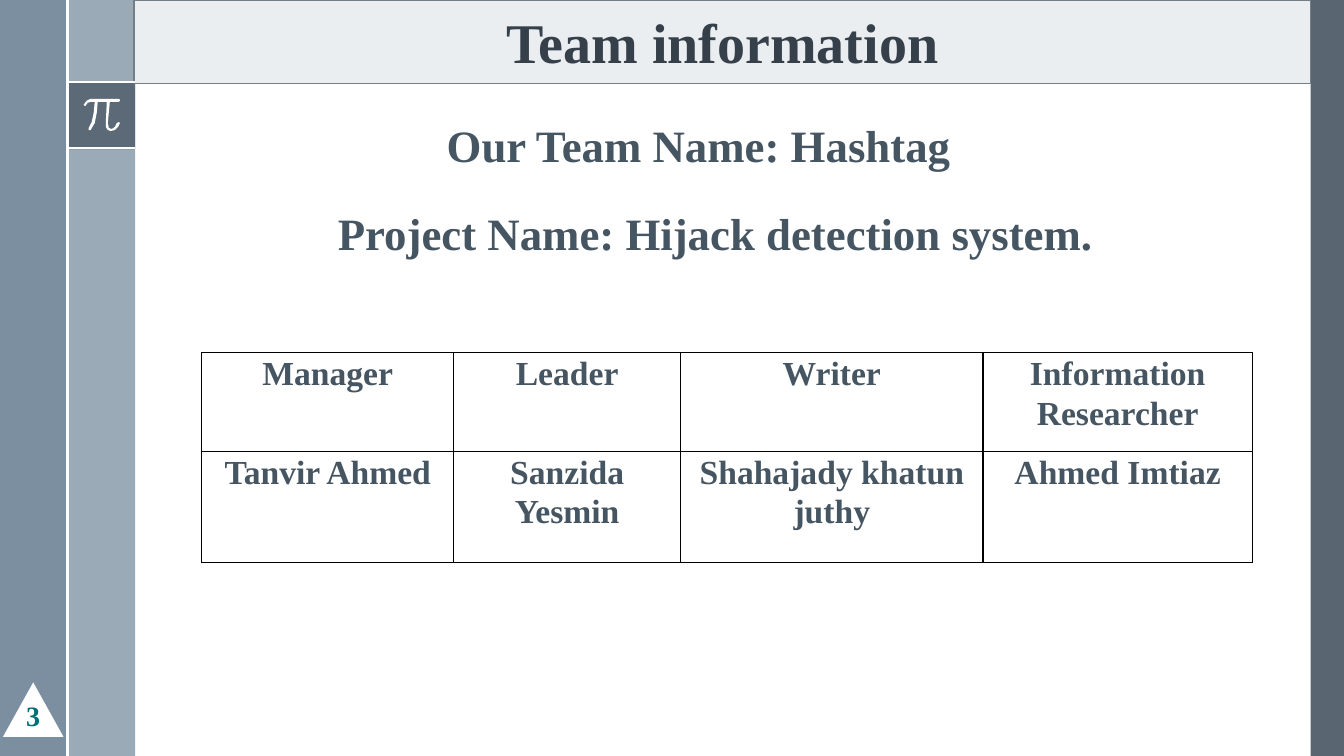
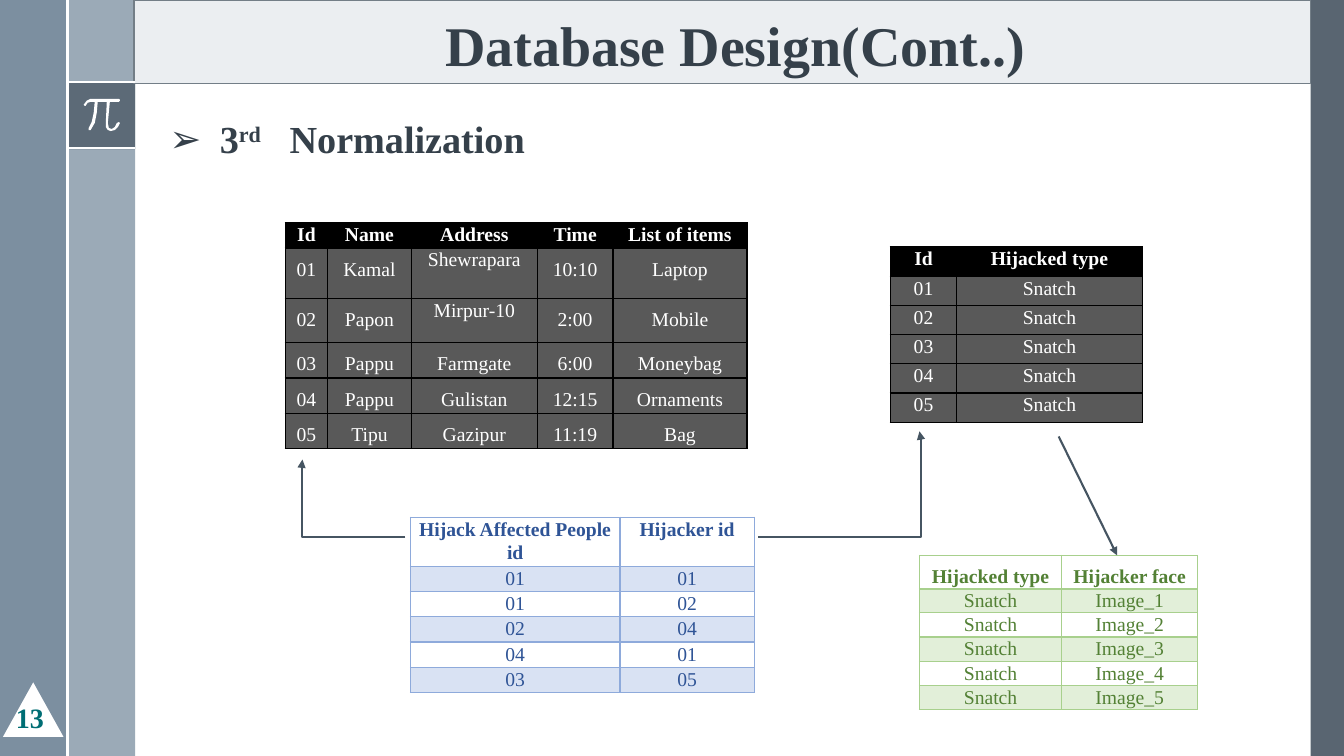
from lxml.etree import SubElement
from pptx import Presentation
from pptx.dml.color import RGBColor
from pptx.enum.shapes import MSO_CONNECTOR, MSO_SHAPE
from pptx.enum.text import MSO_ANCHOR, MSO_AUTO_SIZE, PP_ALIGN
from pptx.oxml.ns import qn
from pptx.util import Inches, Pt

FONT = "Times New Roman"
HUES = {name: RGBColor.from_string(code) for name, code in {
    "white": "FFFFFF", "black": "000000", "slate": "475562", "steel": "6A8093",
    "mist": "9BAAB7", "pale": "EBEEF1", "edge": "737E87", "title": "35404A",
    "text": "465562", "teal": "006E74", "gray": "595959",
    "navy": "2F5496", "blue": "8EAADB", "sky": "D9E2F3",
    "green": "538135", "leaf": "A8D08D", "mint": "E2EFD9",
}.items()}


def dress(par, hue, size, bold=True, **form):
    """Format a paragraph and all of its runs."""
    for key, val in form.items():
        setattr(par, key, val)
    for run in par.runs:
        for key, val in {"name": FONT, "size": Pt(size), "bold": bold}.items():
            setattr(run.font, key, val)
        run.font.color.rgb = HUES[hue]


def grid(slide, spot, cols, rows, data, look):
    """Add a table; look holds its colours, text size and line spacing."""
    frame = slide.shapes.add_table(len(rows), len(cols), *map(Inches, spot),
                                   Inches(sum(cols)), Inches(sum(rows)))
    table = frame.table
    table.first_row = table.horz_banding = False
    for col, wide in zip(table.columns, cols):
        col.width = Inches(wide)
    for r, (row, high) in enumerate(zip(table.rows, rows)):
        row.height = Inches(high)
        for c, cell in enumerate(row.cells):
            for side in ("left", "right", "top", "bottom"):
                gap = 0.07 if side in ("left", "right") else 0
                setattr(cell, "margin_" + side, Inches(gap))
            cell.text = data[r][c]
            space = look["space"][min(r, 1)]
            space = look.get("tight", {}).get((r, c), space)
            dress(cell.text_frame.paragraphs[0], look["text"], look["size"],
                  r == 0 or look.get("bold", False),
                  alignment=PP_ALIGN.CENTER, line_spacing=space)
            # Borders go before the fill
            props = cell._tc.get_or_add_tcPr()
            for side in "LRTB":
                thick = (r, side) in look.get("thick", ())
                line = SubElement(props, qn("a:ln" + side),
                                  w=str(Pt(1.5 if thick else 1)))
                fill = SubElement(line, qn("a:solidFill"))
                SubElement(fill, qn("a:srgbClr"), val=str(HUES[look["line"]]))
            hue = look["head"] if r == 0 else look["fills"][r % 2]
            if hue:
                cell.fill.solid()
                cell.fill.fore_color.rgb = HUES[hue]
            else:
                cell.fill.background()


prs = Presentation()
prs.slide_width, prs.slide_height = Inches(13.33), Inches(7.5)
layout = prs.slide_layouts[1]
for holder in list(layout.placeholders):
    if holder.placeholder_format.idx >= 10:
        holder.element.getparent().remove(holder.element)
team = prs.slides.add_slide(layout)
design = prs.slides.add_slide(layout)

# Shared bands, drawn once and moved to the layout
bands = [
    (MSO_SHAPE.RECTANGLE, (13, 0, 0.33, 7.5), "slate", 90),
    (MSO_SHAPE.RECTANGLE, (0.67, 0, 0.67, 7.5), "mist", 100),
    (MSO_SHAPE.RECTANGLE, (0, 0, 0.67, 7.5), "steel", 88),
    (MSO_SHAPE.RECTANGLE, (0.67, 0.81, 0.67, 0.67), "slate", 75),
    (MSO_SHAPE.RECTANGLE, (1.33, 0, 11.67, 0.83), "pale", 100),
    (MSO_SHAPE.ISOSCELES_TRIANGLE, (0.03, 6.77, 0.6, 0.54), "white", 100),
]
for kind, box, hue, solid in bands:
    band = team.shapes.add_shape(kind, *map(Inches, box))
    band.shadow.inherit = False
    band.fill.solid()
    band.fill.fore_color.rgb = HUES[hue]
    if solid < 100:
        color = band.element.spPr.find(".//" + qn("a:srgbClr"))
        SubElement(color, qn("a:alpha"), val=str(solid * 1000))
    if hue == "pale":
        band.line.color.rgb = HUES["edge"]
        band.line.width = Pt(1)
    else:
        band.line.fill.background()

for ends in [(0.67, 0.81, 1.34, 0.81), (0.67, 1.47, 1.34, 1.47),
             (0.67, 0, 0.67, 7.5)]:
    rule = team.shapes.add_connector(MSO_CONNECTOR.STRAIGHT, *map(Inches, ends))
    rule.line.color.rgb = HUES["white"]
    rule.line.width = Pt(1.5)
    SubElement(rule.element.spPr, qn("a:effectLst"))

# Pi sign, in hundredths of an inch
curve = [(90, 98), (86, 100), (83, 104), (84, 105), (85, 105), (87, 102),
         (90, 101), (94, 101), (93, 112), (91, 121), (88, 127), (88, 129),
         (90, 129), (94, 122), (96, 112), (97, 101), (106, 101), (105, 122),
         (105, 126), (107, 129), (110, 130), (114, 129), (117, 126),
         (119, 122), (118, 121), (116, 122), (114, 126), (111, 128),
         (108, 127), (107, 122), (109, 101), (118, 101), (119, 100), (119, 99)]
pen = team.shapes.build_freeform(118, 98, scale=Inches(0.01))
pen.add_line_segments(curve, close=True)
sign = pen.convert_to_shape()
sign.shadow.inherit = False
sign.fill.solid()
sign.fill.fore_color.rgb = HUES["white"]
sign.line.fill.background()

for shape in list(team.shapes):
    if not shape.is_placeholder:
        layout.element.cSld.spTree.append(shape.element)

# Titles, bodies and page numbers
pages = [
    (team, "Team information", (4.53, -0.03, 5.27, 0.83),
     (3.25, 1.12, 8.5, 1.5), MSO_ANCHOR.TOP, "3", (0.16, 6.83, 0.39, 0.36)),
    (design, "Database Design(Cont..)", (4.08, 0, 6.42, 0.83),
     (1.58, 0.83, 5.67, 0.83), MSO_ANCHOR.BOTTOM, "13", (0.06, 6.85, 0.6, 0.48)),
]
for slide, title, top, main, anchor, page, low in pages:
    head, body = slide.shapes.title, slide.placeholders[1]
    label = slide.shapes.add_textbox(*map(Inches, low))
    for shape, box in ((head, top), (body, main)):
        for key, val in zip(("left", "top", "width", "height"), box):
            setattr(shape, key, Inches(val))
    for shape, hold in ((head, MSO_ANCHOR.BOTTOM), (body, anchor),
                        (label, MSO_ANCHOR.TOP)):
        for key, val in {"word_wrap": True, "vertical_anchor": hold,
                         "auto_size": MSO_AUTO_SIZE.NONE}.items():
            setattr(shape.text_frame, key, val)
    for side in ("left", "right", "top", "bottom"):
        setattr(label.text_frame, "margin_" + side, Inches(0.1))
    head.text_frame.text = title
    dress(head.text_frame.paragraphs[0], "title", 40,
          alignment=PP_ALIGN.CENTER, line_spacing=0.9)
    label.text_frame.text = page
    dress(label.text_frame.paragraphs[0], "teal", 20)

# Team and project names
body = team.placeholders[1].text_frame
body.text = "Our Team Name: Hashtag\nProject Name: Hijack detection system."
for par, dent, gap in zip(body.paragraphs, (1.08, 0), (0, 24.5)):
    dress(par, "text", 32, space_before=Pt(gap), line_spacing=1.0)
    props = par._p.get_or_add_pPr()
    props.set("marL", str(Inches(dent)))
    props.set("indent", "0")
    SubElement(props, qn("a:buNone"))

# Team roles
grid(team, (2, 3.5), (2.5, 2.25, 3, 2.67), (0.98, 1.1),
     [("Manager", "Leader", "Writer", "Information Researcher"),
      ("Tanvir Ahmed", "Sanzida Yesmin", "Shahajady khatun juthy", "Ahmed Imtiaz")],
     {"text": "text", "size": 24, "bold": True, "line": "black",
      "head": None, "fills": (None, None), "space": (1.07, 1.07)})

# Normalization step
par = design.placeholders[1].text_frame.paragraphs[0]
for text, form in (("3", {}), ("rd", {"baseline": "30000"}),
                   (" ", {"spc": "1365"}), ("Normalization", {})):
    run = par.add_run()
    run.text = text
    for key, val in form.items():
        run._r.get_or_add_rPr().set(key, val)
dress(par, "title", 27.3, space_before=Pt(0), line_spacing=0.9)
props = par._p.get_or_add_pPr()
props.set("marL", str(Inches(0.5)))
props.set("indent", str(Inches(-0.5)))
SubElement(props, qn("a:buChar"), char="➢")

# Linked tables
dark = {"text": "white", "size": 14, "line": "black", "head": "black",
        "fills": ("gray", "gray"), "space": (1.07, 1.07)}
light = {"size": 14, "head": None, "space": (1.07, 1.07),
         "thick": ((0, "B"), (1, "T"))}
grid(design, (2.83, 2.21), (0.42, 0.83, 1.25, 0.75, 1.33),
     (0.25, 0.5, 0.44, 0.35, 0.35, 0.35),
     [("Id", "Name", "Address", "Time", "List of items"),
      ("01", "Kamal", "Shewrapara", "10:10", "Laptop"),
      ("02", "Papon", "Mirpur-10", "2:00", "Mobile"),
      ("03", "Pappu", "Farmgate", "6:00", "Moneybag"),
      ("04", "Pappu", "Gulistan", "12:15", "Ornaments"),
      ("05", "Tipu", "Gazipur", "11:19", "Bag")],
     dark | {"space": (1.07, 1.5), "tight": {(1, 2): 1.07, (2, 2): 1.07}})
grid(design, (8.83, 2.45), (0.66, 1.84), [0.29] * 6,
     [("Id", "Hijacked type")] + [(f"0{n}", "Snatch") for n in range(1, 6)], dark)
grid(design, (4.07, 5.13), (2.08, 1.33), [0.49] + [0.25] * 5,
     [("Hijack Affected People id", "Hijacker id"), ("01", "01"), ("01", "02"),
      ("02", "04"), ("04", "01"), ("03", "05")],
     light | {"text": "navy", "line": "blue", "fills": (None, "sky")})
grid(design, (9.12, 5.51), (1.41, 1.35), [0.33] + [0.24] * 5,
     [("Hijacked type", "Hijacker face")]
     + [("Snatch", f"Image_{n}") for n in range(1, 6)],
     light | {"text": "green", "line": "leaf", "fills": (None, "mint"),
              "space": (1.5, 1.07)})

# Arrows between tables
for kind, ends in ((MSO_CONNECTOR.ELBOW, (4.02, 5.33, 3, 4.56)),
                   (MSO_CONNECTOR.ELBOW, (7.52, 5.33, 9.12, 4.28)),
                   (MSO_CONNECTOR.STRAIGHT, (10.5, 4.33, 11.08, 5.51))):
    arrow = design.shapes.add_connector(kind, *map(Inches, ends))
    arrow.line.color.rgb = HUES["text"]
    arrow.line.width = Pt(1.5)
    props = arrow.element.spPr
    SubElement(props.find(qn("a:ln")), qn("a:tailEnd"), type="triangle")
    SubElement(props, qn("a:effectLst"))
    if kind == MSO_CONNECTOR.ELBOW:
        bends = props.find(".//" + qn("a:avLst"))
        SubElement(bends, qn("a:gd"), name="adj1", fmla="val 100800")

prs.save("out.pptx")
